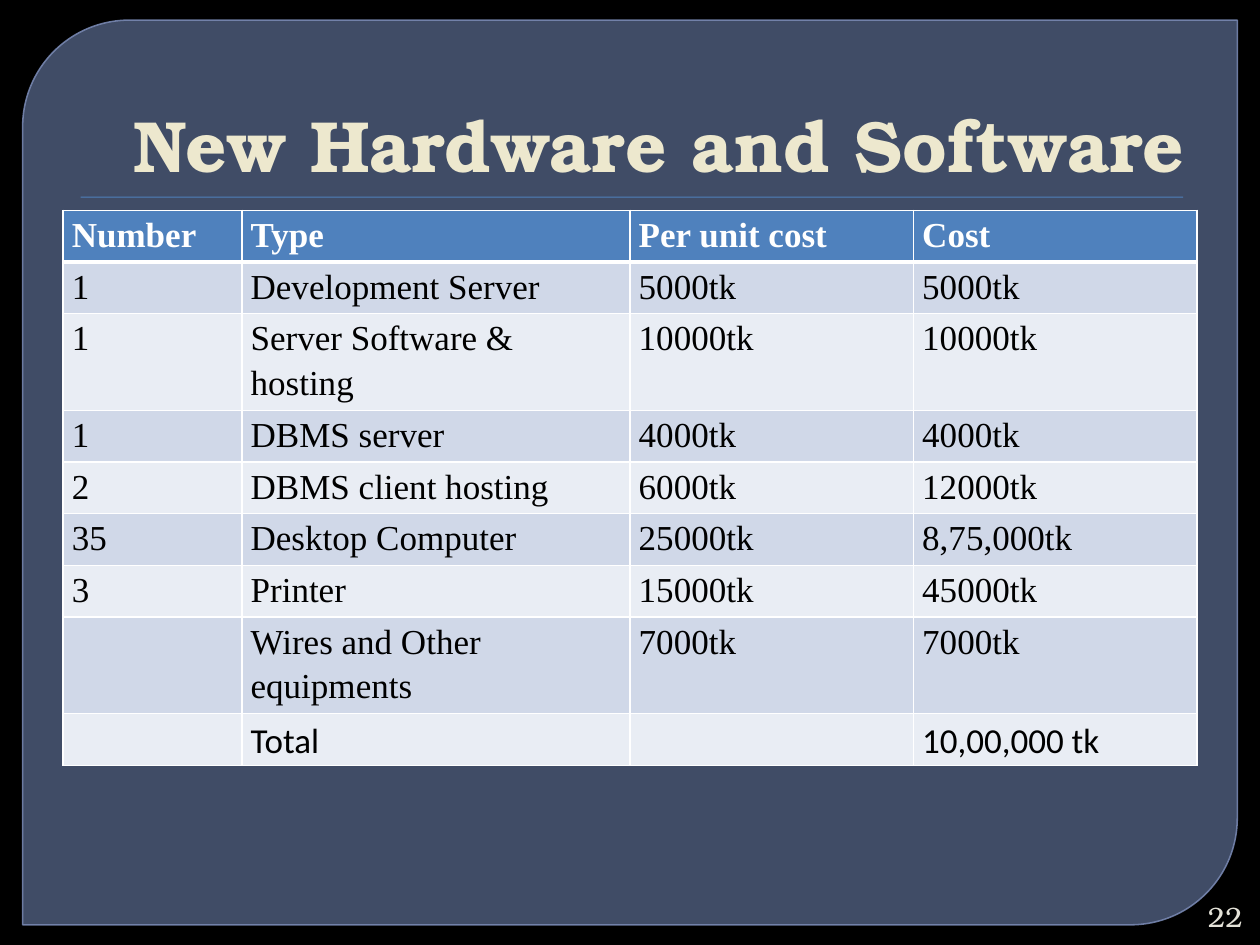
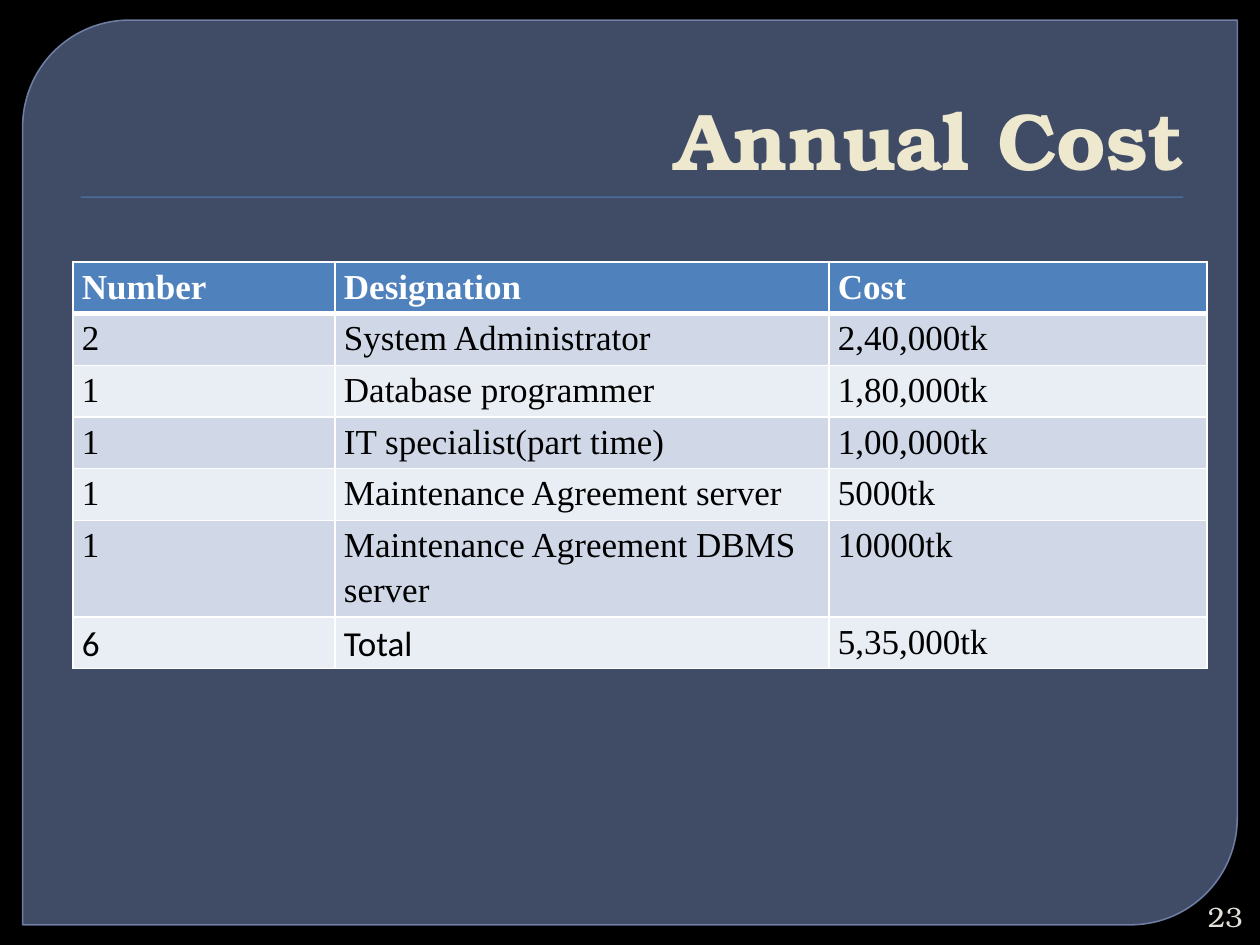
import pptx
import pptx.util
import pptx.dml.color
import pptx.enum.shapes
import pptx.enum.text
import pptx.oxml.ns
from lxml import etree
from dataclasses import dataclass

Inches = pptx.util.Inches
Pt = pptx.util.Pt
MSO_SHAPE = pptx.enum.shapes.MSO_SHAPE
PP_ALIGN = pptx.enum.text.PP_ALIGN
MSO_ANCHOR = pptx.enum.text.MSO_ANCHOR
qn = pptx.oxml.ns.qn

# The total row is set in the sans font, in the columns listed under "sans_columns".
SLIDES = [
    {
        "title": "New Hardware and Software",
        "title_size": 41.4,
        "page": "22",
        "table_at": (0.5, 1.67),
        "columns": [1.42, 3.08, 2.25, 2.25],
        "sans_columns": (0, 1, 2, 3),
        "rows": [
            ("Number", "Type", "Per unit cost", "Cost"),
            ("1", "Development Server", "5000tk", "5000tk"),
            ("1", "Server Software & hosting", "10000tk", "10000tk"),
            ("1", "DBMS server", "4000tk", "4000tk"),
            ("2", "DBMS client hosting", "6000tk", "12000tk"),
            ("35", "Desktop Computer", "25000tk", "8,75,000tk"),
            ("3", "Printer", "15000tk", "45000tk"),
            ("", "Wires and Other equipments", "7000tk", "7000tk"),
            ("", "Total", "", "10,00,000 tk"),
        ],
    },
    {
        "title": "Annual Cost",
        "title_size": 46,
        "page": "23",
        "table_at": (0.58, 2.08),
        "columns": [2.08, 3.92, 3],
        "sans_columns": (0, 1),
        "rows": [
            ("Number", "Designation", "Cost"),
            ("2", "System Administrator", "2,40,000tk"),
            ("1", "Database programmer", "1,80,000tk"),
            ("1", "IT specialist(part time)", "1,00,000tk"),
            ("1", "Maintenance Agreement server", "5000tk"),
            ("1", "Maintenance Agreement DBMS server", "10000tk"),
            ("6", "Total", "5,35,000tk"),
        ],
    },
]


@dataclass(frozen=True)
class Theme:
    background: str = "000000"
    panel: str = "63759D"
    panel_line: str = "7989B3"
    accent: str = "4F81BD"
    title: str = "EDE8CE"
    page: str = "E3E1D7"
    header_text: str = "FFFFFF"
    body_text: str = "000000"
    border: str = "FFFFFF"
    bands: tuple = ("D0D8E8", "E9EDF4")
    display_font: str = "TeX Gyre Bonum"
    table_font: str = "Times New Roman"
    sans_font: str = "Calibri"
    table_size: float = 20
    page_size: float = 16
    row_height: float = 0.41


THEME = Theme()


def rgb(color):
    return pptx.dml.color.RGBColor.from_string(color)


def set_solid(fill, color, opacity=100):
    fill.solid()
    fill.fore_color.rgb = rgb(color)
    if opacity < 100:
        # The colour element is reached through the public fill of its parent shape.
        return opacity * 1000
    return None


def set_opacity(shape, fill_percent, line_percent):
    properties = shape.element.spPr
    for parent, percent in ((properties, fill_percent),
                            (properties.find(qn("a:ln")), line_percent)):
        color = parent.find(qn("a:solidFill")).find(qn("a:srgbClr"))
        etree.SubElement(color, qn("a:alpha"), val=str(percent * 1000))


def style_runs(paragraph, font_name, size, color, bold=False):
    for run in paragraph.runs:
        run.font.name = font_name
        run.font.size = Pt(size)
        run.font.bold = bold
        run.font.color.rgb = rgb(color)


def add_shape(slide, kind, left, top, width, height, color):
    shape = slide.shapes.add_shape(
        kind, Inches(left), Inches(top), Inches(width), Inches(height))
    shape.shadow.inherit = False
    set_solid(shape.fill, color)
    return shape


def add_right_text(slide, text, box, anchor, size, color, bold=False):
    """Add a right-aligned text box in the display font."""
    frame = slide.shapes.add_textbox(*map(Inches, box)).text_frame
    frame.word_wrap = True
    frame.vertical_anchor = anchor
    frame.text = text
    paragraph = frame.paragraphs[0]
    paragraph.alignment = PP_ALIGN.RIGHT
    style_runs(paragraph, THEME.display_font, size, color, bold)


def add_frame(slide, title, title_size, page):
    """Add what every slide shares: background, panel, rule, title and page number."""
    set_solid(slide.background.fill, THEME.background)
    panel = add_shape(slide, MSO_SHAPE.ROUND_2_DIAG_RECTANGLE,
                      0.18, 0.16, 9.64, 7.18, THEME.panel)
    panel.adjustments[0] = 0.118
    panel.adjustments[1] = 0
    panel.line.color.rgb = rgb(THEME.panel_line)
    panel.line.width = Pt(0.87)
    set_opacity(panel, 65, 88)
    rule = add_shape(slide, MSO_SHAPE.RECTANGLE, 0.64, 1.56, 8.75, 0.01, THEME.accent)
    rule.line.fill.background()
    add_right_text(slide, title, (0.5, 0.28, 9, 1.25), MSO_ANCHOR.BOTTOM,
                   title_size, THEME.title, bold=True)
    add_right_text(slide, page, (9.45, 7.12, 0.51, 0.3), MSO_ANCHOR.MIDDLE,
                   THEME.page_size, THEME.page)


def set_borders(cell, top, bottom):
    """Draw the four borders; top and bottom are widths in points, the sides are 1."""
    properties = cell._tc.get_or_add_tcPr()
    widths = {"a:lnL": 1, "a:lnR": 1, "a:lnT": top, "a:lnB": bottom}
    for position, (tag, width) in enumerate(widths.items()):
        line = etree.Element(qn(tag), w=str(Pt(width)))
        fill = etree.SubElement(line, qn("a:solidFill"))
        etree.SubElement(fill, qn("a:srgbClr"), val=THEME.border)
        properties.insert(position, line)


def fill_cell(cell, text, row, font_name):
    is_header = row == 0
    cell.margin_left = cell.margin_right = Inches(0.07)
    cell.margin_top = cell.margin_bottom = 0
    set_solid(cell.fill, THEME.accent if is_header else THEME.bands[(row - 1) % 2])
    set_borders(cell, top=3 if row == 1 else 1, bottom=3 if is_header else 1)
    cell.text_frame.text = text
    paragraph = cell.text_frame.paragraphs[0]
    paragraph.line_spacing = 1.15
    style_runs(paragraph, font_name, THEME.table_size,
               THEME.header_text if is_header else THEME.body_text, is_header)


def add_cost_table(slide, rows, columns, position, sans_columns):
    left, top = position
    table = slide.shapes.add_table(
        len(rows), len(columns), Inches(left), Inches(top),
        Inches(sum(columns)), Inches(THEME.row_height * len(rows))).table
    for column, width in zip(table.columns, columns):
        column.width = Inches(width)
    for row, texts in enumerate(rows):
        table.rows[row].height = Inches(THEME.row_height)
        for column, text in enumerate(texts):
            is_sans = row == len(rows) - 1 and column in sans_columns
            fill_cell(table.cell(row, column), text, row,
                      THEME.sans_font if is_sans else THEME.table_font)


def main():
    presentation = pptx.Presentation()
    presentation.slide_width = Inches(10)
    presentation.slide_height = Inches(7.5)
    for content in SLIDES:
        slide = presentation.slides.add_slide(presentation.slide_layouts[6])
        add_frame(slide, content["title"], content["title_size"], content["page"])
        add_cost_table(slide, content["rows"], content["columns"],
                       content["table_at"], content["sans_columns"])
    presentation.save("out.pptx")


if __name__ == "__main__":
    main()
